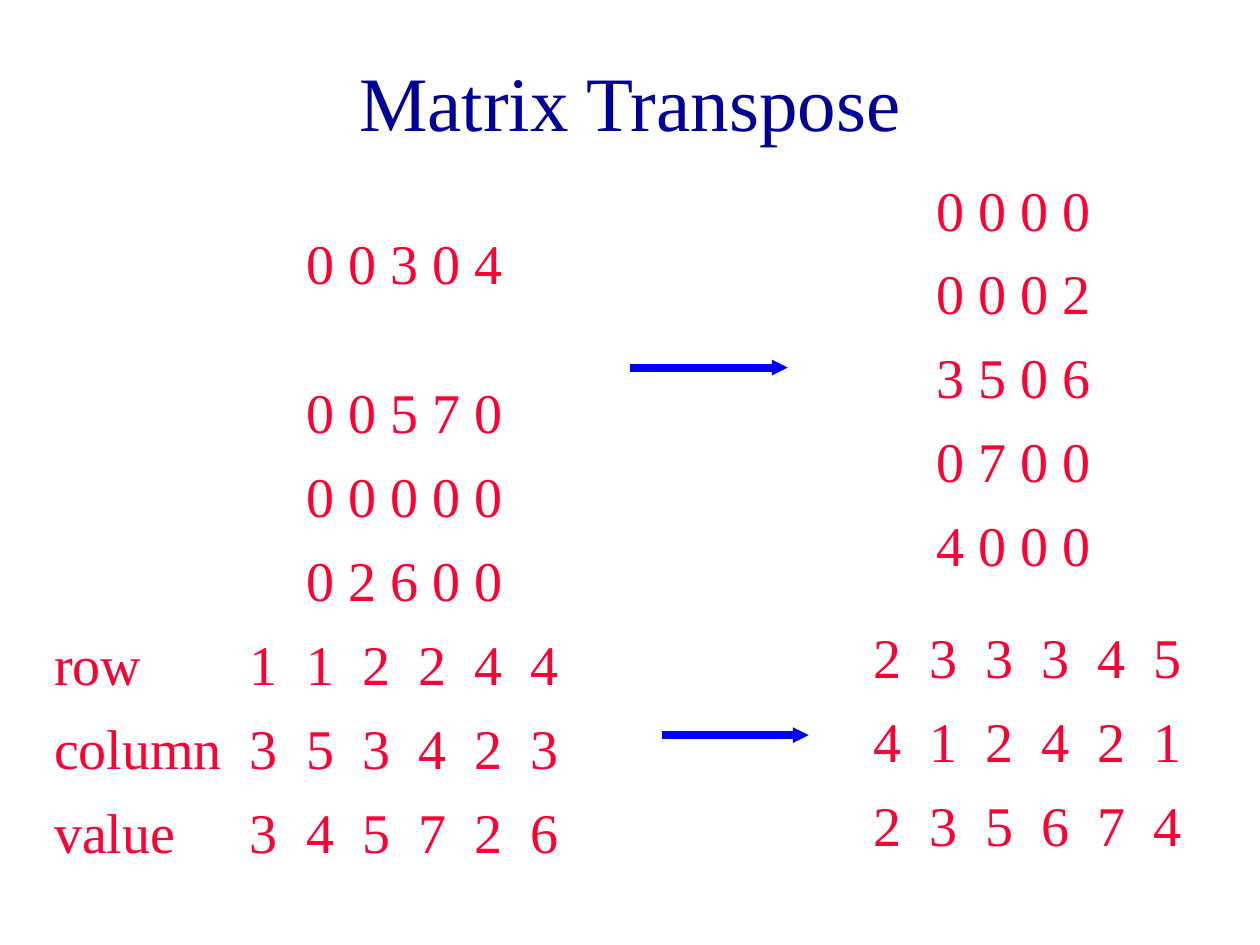
from lxml import etree
from pptx import Presentation
from pptx import util as u
from pptx.dml import color
from pptx.enum import shapes, text
from pptx.oxml import ns

NAVY = color.RGBColor(0x00, 0x00, 0x99)
RED = color.RGBColor(0xFF, 0x00, 0x33)
BLUE = color.RGBColor(0x00, 0x00, 0xFF)

PITCH = 1.13        # cm between the columns of a triple list
LABEL_WIDTH = 3.95  # cm kept for the row labels
LINE_GAP = 9.5      # pt between rows


def set_values(target, values):
    for name, value in values.items():
        setattr(target, name, value)


class SlideBuilder:
    """Holds the style and the current slide."""

    title_font = {"name": "Times New Roman", "size": u.Pt(44)}
    body_font = {"name": "Times New Roman", "size": u.Pt(32)}

    def __init__(self, slide):
        self.slide = slide

    def place(self, shape, box):
        names = ("left", "top", "width", "height")
        set_values(shape, {name: u.Cm(value) for name, value in zip(names, box)})

    def add_words(self, paragraph, words, font, colour):
        run = paragraph.add_run()
        run.text = words
        set_values(run.font, font)
        run.font.color.rgb = colour

    def title(self, words, box):
        shape = self.slide.shapes.title
        self.place(shape, box)
        shape.text_frame.vertical_anchor = text.MSO_ANCHOR.MIDDLE
        paragraph = shape.text_frame.paragraphs[0]
        paragraph.alignment = text.PP_ALIGN.CENTER
        self.add_words(paragraph, words, self.title_font, NAVY)

    def rows(self, lines, box, inset, tabs=(), extra_gaps=None):
        """Text rows; extra_gaps maps a row index to added points above it."""
        frame = self.slide.shapes.add_textbox(*map(u.Cm, box)).text_frame
        set_values(frame, {"word_wrap": True, "margin_top": u.Cm(inset),
                           "vertical_anchor": text.MSO_ANCHOR.TOP})
        for index, line in enumerate(lines):
            paragraph = frame.add_paragraph() if index else frame.paragraphs[0]
            gap = LINE_GAP + (extra_gaps or {}).get(index, 0) if index else 0
            paragraph.space_before = u.Pt(gap)
            self.add_words(paragraph, line, self.body_font, RED)
            if tabs:
                self.tab_stops(paragraph, tabs)

    def tab_stops(self, paragraph, positions):
        properties = paragraph._p.get_or_add_pPr()
        tab_list = etree.SubElement(properties, ns.qn("a:tabLst"))
        for position in positions:
            etree.SubElement(tab_list, ns.qn("a:tab"),
                             pos=str(int(u.Cm(position))), algn="l")

    def arrow(self, left, right, y):
        connector = self.slide.shapes.add_connector(
            shapes.MSO_CONNECTOR.STRAIGHT, u.Cm(left), u.Cm(y), u.Cm(right), u.Cm(y))
        connector.line.color.rgb = BLUE
        connector.line.width = u.Pt(4.5)
        properties = connector._element.spPr
        etree.SubElement(properties.find(ns.qn("a:ln")), ns.qn("a:tailEnd"),
                         type="triangle", w="sm", len="sm")
        etree.SubElement(properties, ns.qn("a:effectLst"))


def main():
    presentation = Presentation()
    set_values(presentation, {"slide_width": u.Cm(25.4), "slide_height": u.Cm(19.05)})
    slide = presentation.slides.add_slide(presentation.slide_layouts[5])
    builder = SlideBuilder(slide)

    # Title
    builder.title("Matrix Transpose", (1.9, 0.43, 21.6, 3.18))

    # Transposed triples
    transposed = ("2 3 3 3 4 5", "4 1 2 4 2 1", "2 3 5 6 7 4")
    builder.rows(["\t".join(line.split()) for line in transposed],
                 (17.35, 12.27, 6.78, 7.82), 0.28,
                 tabs=[PITCH * step for step in range(1, 6)])

    # Source triples with their labels
    triples = ("row 1 1 2 2 4 4", "column 3 5 3 4 2 3", "value 3 4 5 7 2 6")
    builder.rows(["\t".join(line.split()) for line in triples],
                 (0.84, 10.8, 12.07, 7.82), 1.9,
                 tabs=[LABEL_WIDTH + PITCH * step for step in range(6)])
    builder.arrow(13.34, 16.3, 14.82)

    # Source matrix, with one line left open below its first row
    builder.rows(["0 0 3 0 4", "0 0 5 7 0", "0 0 0 0 0", "0 2 6 0 0"],
                 (5.92, 1.07, 5.92, 11.86), 3.53, extra_gaps={1: 37.5})

    # Transposed matrix
    builder.rows(["0 0 0 0", "0 0 0 2", "3 5 0 6", "0 7 0 0", "4 0 0 0"],
                 (18.62, 0, 4.02, 11.86), 3.53)
    builder.arrow(12.7, 15.88, 7.41)

    presentation.save("out.pptx")


if __name__ == "__main__":
    main()
